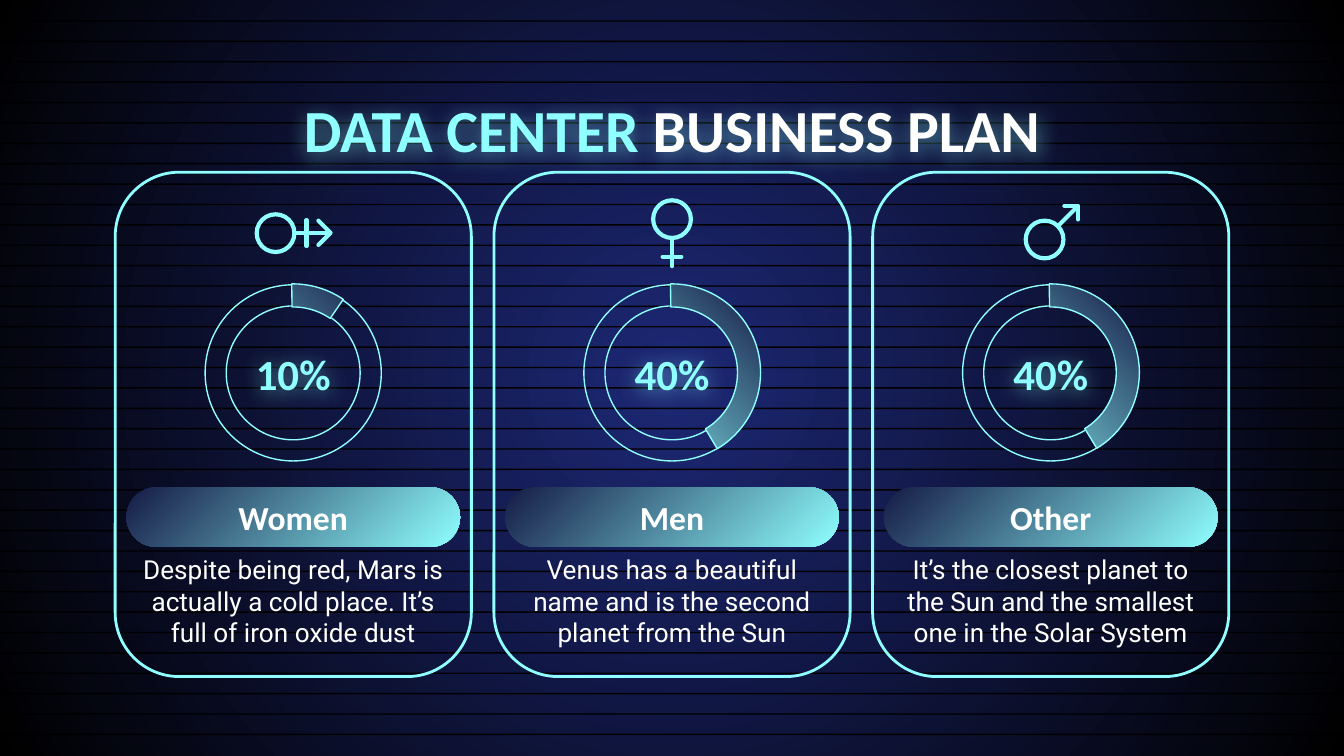
import pptx
import pptx.dml.color
import pptx.enum.shapes
import pptx.enum.text
import pptx.oxml
import pptx.oxml.ns
import pptx.util

Pt = pptx.util.Pt
MSO = pptx.enum.shapes.MSO_SHAPE
ANCHOR = pptx.enum.text.MSO_ANCHOR
NS = pptx.oxml.ns.nsdecls("a")
CYAN, NAVY, WHITE, BLACK = "8FFFFF", "151B46", "FFFFFF", "000000"
GLOW = (f'<a:effectLst {NS}><a:outerShdw blurRad="142875" dist="19050" dir="5400000" algn="bl" '
        f'rotWithShape="0"><a:srgbClr val="{CYAN}"><a:alpha val="50000"/></a:srgbClr>'
        '</a:outerShdw></a:effectLst>')


def rgb(value):
    return pptx.dml.color.RGBColor.from_string(value)


def write(sp, runs, size, font, bold=False, anchor=ANCHOR.MIDDLE, glow=False):
    """Fill a shape with one centred paragraph of (text, colour) runs."""
    tf = sp.text_frame
    tf.word_wrap = True
    tf.vertical_anchor = anchor
    tf.margin_left = tf.margin_right = tf.margin_top = tf.margin_bottom = Pt(7.2)
    p = tf.paragraphs[0]
    p.alignment = pptx.enum.text.PP_ALIGN.CENTER
    p.font.size, p.font.name, p.font.bold = Pt(size), font, bold
    for text, color in runs:
        r = p.add_run()
        r.text = text
        r.font.color.rgb = rgb(color)
    if glow:
        sp._element.spPr.append(pptx.oxml.parse_xml(GLOW))


prs = pptx.Presentation()
prs.slide_width, prs.slide_height = Pt(720), Pt(405)
s = prs.slides.add_slide(prs.slide_layouts[6])

# Background: radial gradient
fill = s.background.fill
fill.gradient()
for stop, color, position in zip(fill.gradient_stops, ("1D2875", BLACK), (0, 1)):
    stop.color.rgb, stop.position = rgb(color), position
lin = s.background._cSld.find(".//" + pptx.oxml.ns.qn("a:lin"))
lin.getparent().replace(lin, pptx.oxml.parse_xml(
    f'<a:path {NS} path="circle"><a:fillToRect l="50000" t="50000" r="50000" b="50000"/></a:path>'))

# Background: thin black stripes
for i in range(36):
    sp = s.shapes.add_shape(MSO.RECTANGLE, 0, Pt(10.9 + 10.92 * i), Pt(720), Pt(0.8))
    sp.shadow.inherit = False
    sp.fill.solid()
    sp.fill.fore_color.rgb = rgb(BLACK)
    sp.line.fill.background()

# Title
sp = s.shapes.add_textbox(Pt(56.2), Pt(42.5), Pt(607.6), Pt(44.6))
write(sp, [("DATA CENTER ", CYAN), ("BUSINESS PLAN", WHITE)], 32, "Calibri", True, ANCHOR.TOP, True)

# Icons: ring centre, straight strokes, arrowhead corners
radius = 10.1
icons = [
    ((147.6, 124.9), [(157.7, 124.9, 176.6, 124.9), (164.2, 117.9, 164.2, 131.8)],
     [(170.6, 131.2), (177.1, 124.7), (170.6, 118.2)]),
    ((360, 117.4), [(360, 127.5, 360, 142.6), (355, 137.5, 365, 137.5)], []),
    ((559.6, 128.3), [(577.4, 110.5, 566.7, 121.2)],
     [(570.2, 110.3), (577.6, 110.3), (577.6, 117.6)]),
]
for (cx, cy), strokes, head in icons:
    parts = [s.shapes.add_shape(MSO.OVAL, Pt(cx - radius), Pt(cy - radius),
                                Pt(2 * radius), Pt(2 * radius))]
    for stroke in strokes:
        parts.append(s.shapes.add_connector(pptx.enum.shapes.MSO_CONNECTOR.STRAIGHT,
                                            *[Pt(v) for v in stroke]))
    if head:
        corners = [(Pt(x), Pt(y)) for x, y in head]
        fb = s.shapes.build_freeform(*corners[0])
        fb.add_line_segments(corners[1:], close=False)
        parts.append(fb.convert_to_shape())
    for sp in parts:
        if not isinstance(sp, pptx.shapes.connector.Connector):
            sp.fill.background()
        sp.line.color.rgb = rgb(CYAN)
        sp.line.width = Pt(2.25)
        sp.line._get_or_add_ln().set("cap", "rnd")
        sp._element.spPr.append(pptx.oxml.parse_xml(f"<a:effectLst {NS}/>"))

# Cards: label, percentage, arc start, description
cards = [
    ("Women", "10%", 141.37, "Despite being red, Mars is actually a cold place. It’s full of iron oxide dust"),
    ("Men", "40%", 72.44, "Venus has a beautiful name and is the second planet from the Sun"),
    ("Other", "40%", 72.79, "It’s the closest planet to the Sun and the smallest one in the Solar System"),
]
for i, (label, percent, start, description) in enumerate(cards):
    cx = 360 + 202.9 * (i - 1)

    # Frame, ring, arc and pill: preset, top, width, height, adjustments, line width
    outlines = [
        (MSO.ROUNDED_RECTANGLE, 92.3, 190.8, 270.2, [0.18], 1.5),
        (MSO.DONUT, 152.6, 94.4, 94.4, [0.12], 0.75),
        (MSO.BLOCK_ARC, 152.1, 95, 95, [start, 162.57, 0.13], 0.75),
        (MSO.ROUNDED_RECTANGLE, 261, 178.8, 32, [0.5], 0),
    ]
    for preset, top, width, height, adjustments, line in outlines:
        sp = s.shapes.add_shape(preset, Pt(cx - width / 2), Pt(top), Pt(width), Pt(height))
        sp.shadow.inherit = False
        for k, value in enumerate(adjustments):
            sp.adjustments[k] = value
        if preset == MSO.BLOCK_ARC:
            sp._element.spPr.get_or_add_xfrm().set("flipH", "1")
        if preset == MSO.BLOCK_ARC or not line:
            sp.fill.gradient()
            sp.fill.gradient_angle = 315
            for stop, color, position in zip(sp.fill.gradient_stops, (NAVY, CYAN), (0, 1)):
                stop.color.rgb, stop.position = rgb(color), position
        else:
            sp.fill.background()
        if line:
            sp.line.color.rgb = rgb(CYAN)
            sp.line.width = Pt(line)
        else:
            sp.line.fill.background()
            write(sp, [(label, WHITE)], 18, "Calibri", True)

    # Description and percentage
    sp = s.shapes.add_textbox(Pt(cx - 89.4), Pt(289.4), Pt(178.8), Pt(59))
    write(sp, [(description, WHITE)], 14, "Roboto", anchor=ANCHOR.TOP)
    sp = s.shapes.add_textbox(Pt(cx - 47.5), Pt(177.1), Pt(95), Pt(45.4))
    write(sp, [(percent, CYAN)], 23, "Calibri", True, glow=True)

prs.save("out.pptx")
